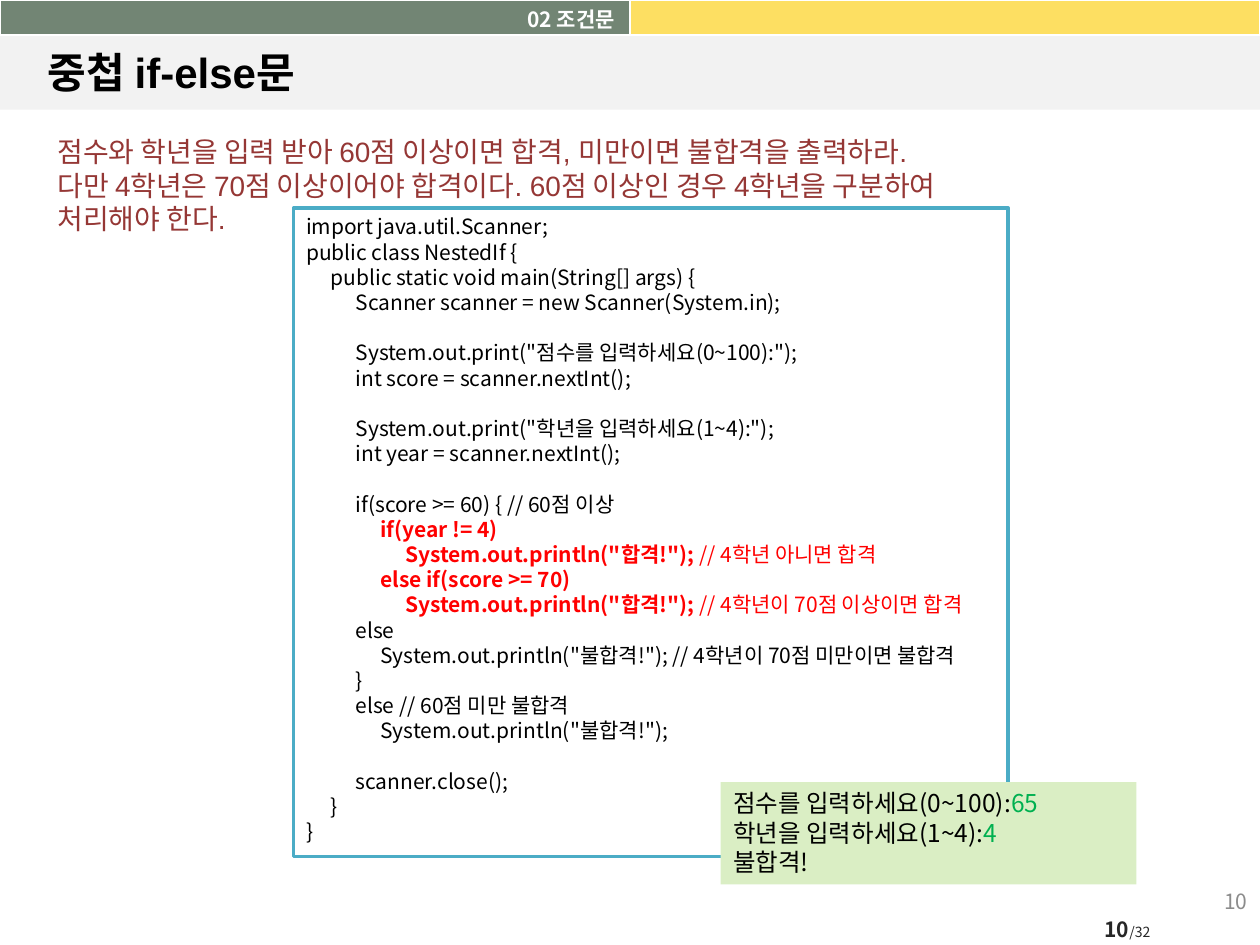
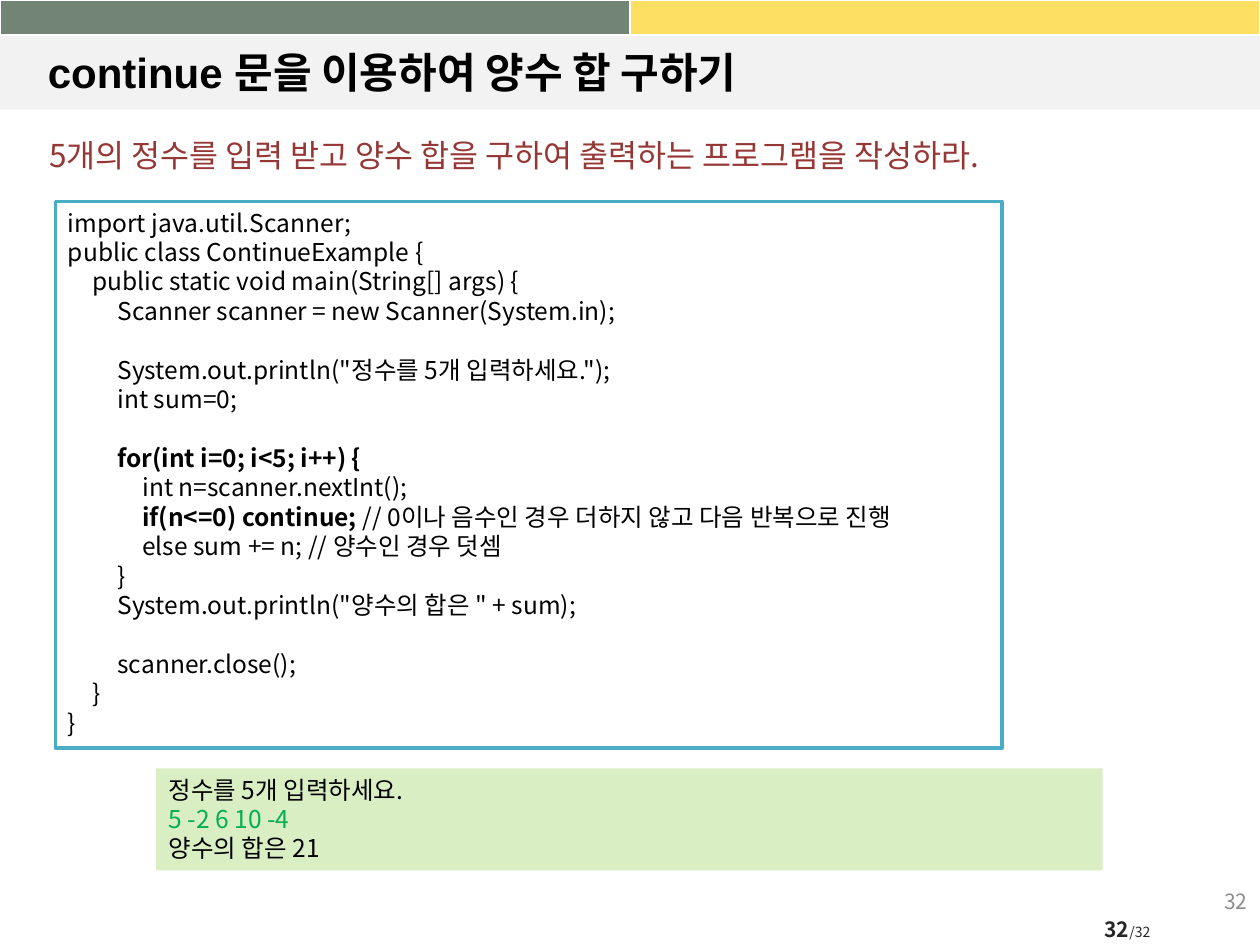
from lxml import etree
from pptx import Presentation
from pptx import util as u
from pptx.dml import color
from pptx.enum import shapes, text
from pptx.oxml import ns

# Shared look
SANS, HEAD = "Noto Sans CJK KR", "Arial"
GREEN_BAND, YELLOW_BAND, TITLE_BAND = "728574", "FDDF62", "F2F2F2"
BLACK, WHITE, PROMPT, CODE_LINE = "000000", "FFFFFF", "953735", "4BACC6"
OUTPUT_FILL, INPUT, HOT = "DAEEC4", "00B050", "FF0000"
INDENT = 0.5
LINE = 1.2
TOTAL = 32
BOLD = {"bold": True}
RED, RED_BOLD = {"colour": HOT}, {"colour": HOT, "bold": True}
TYPED = {"colour": INPUT}


def write(box, lines, size, colour=BLACK, font=SANS, bold=False,
          align=text.PP_ALIGN.LEFT, anchor=text.MSO_ANCHOR.TOP):
    """Fill box with lines: tabs set the indent, an empty line becomes space before
    the next one, and a line may be a list of (words, format) spans."""
    frame = box.text_frame
    frame.word_wrap = True
    frame.auto_size = text.MSO_AUTO_SIZE.NONE
    frame.vertical_anchor = anchor
    para, gap = None, 0
    for line in lines:
        if not line:
            gap += size * LINE
            continue
        spans = [(line, {})] if isinstance(line, str) else line
        para = frame.add_paragraph() if para else frame.paragraphs[0]
        para.alignment = align
        para.line_spacing = u.Pt(size * LINE)
        para.space_before, gap = u.Pt(gap), 0
        first = spans[0][0]
        level = len(first) - len(first.lstrip("\t"))
        layout = para._p.get_or_add_pPr()
        layout.set("marL", str(u.Cm(level * INDENT)))
        layout.set("indent", "0")
        etree.SubElement(layout, ns.qn("a:buNone"))
        for words, style in spans:
            span = para.add_run()
            span.text = words.lstrip("\t")
            span.font.name = font
            span.font.size = u.Pt(style.get("size", size))
            span.font.bold = style.get("bold", bold)
            span.font.color.rgb = color.RGBColor.from_string(style.get("colour", colour))
            etree.SubElement(span.font._element, ns.qn("a:ea"), typeface=SANS)


def add_box(page, place, fill=None, line=None):
    """Add a rectangle, or a text box when it has no fill."""
    place = [u.Cm(length) for length in place]
    if not fill:
        return page.shapes.add_textbox(*place)
    box = page.shapes.add_shape(shapes.MSO_SHAPE.RECTANGLE, *place)
    box.shadow.inherit = False
    box.fill.solid()
    box.fill.fore_color.rgb = color.RGBColor.from_string(fill)
    if line:
        box.line.color.rgb = color.RGBColor.from_string(line)
        box.line.width = u.Pt(2)
    else:
        box.line.fill.background()
    return box


# Content of the slides
nested_if = [
    "import java.util.Scanner;",
    "public class NestedIf {",
    "\tpublic static void main(String[] args) {",
    "\t\tScanner scanner = new Scanner(System.in);",
    "",
    "\t\tSystem.out.print(\"점수를 입력하세요(0~100):\");",
    "\t\tint score = scanner.nextInt();",
    "",
    "\t\tSystem.out.print(\"학년을 입력하세요(1~4):\");",
    "\t\tint year = scanner.nextInt();",
    "",
    "\t\tif(score >= 60) { // 60점 이상",
    [("\t\t\tif(year != 4)", RED_BOLD)],
    [("\t\t\t\tSystem.out.println(\"합격!\"); ", RED_BOLD), ("// 4학년 아니면 합격", RED)],
    [("\t\t\telse if(score >= 70)", RED_BOLD)],
    [("\t\t\t\tSystem.out.println(\"합격!\"); ", RED_BOLD),
     ("// 4학년이 70점 이상이면 합격", RED)],
    "\t\telse",
    "\t\t\tSystem.out.println(\"불합격!\"); // 4학년이 70점 미만이면 불합격",
    "\t\t}",
    "\t\telse // 60점 미만 불합격",
    "\t\t\tSystem.out.println(\"불합격!\");",
    "",
    "\t\tscanner.close();",
    "\t}",
    "}",
]
continue_example = [
    "import java.util.Scanner;",
    "public class ContinueExample {",
    "\tpublic static void main(String[] args) {",
    "\t\tScanner scanner = new Scanner(System.in);",
    "",
    "\t\tSystem.out.println(\"정수를 5개 입력하세요.\");",
    "\t\tint sum=0;",
    "",
    [("\t\tfor(int i=0; i<5; i++) {", BOLD)],
    "\t\t\tint n=scanner.nextInt();",
    [("\t\t\tif(n<=0) continue;", BOLD),
     (" // 0이나 음수인 경우 더하지 않고 다음 반복으로 진행", {})],
    "\t\t\telse sum += n; // 양수인 경우 덧셈",
    "\t\t}",
    "\t\tSystem.out.println(\"양수의 합은 \" + sum);",
    "",
    "\t\tscanner.close();",
    "\t}",
    "}",
]
lessons = [
    {
        "number": 10, "title": "중첩 if-else문", "section": "02 조건문",
        "prompt": ["점수와 학년을 입력 받아 60점 이상이면 합격, 미만이면 불합격을 출력하라.",
                   "다만 4학년은 70점 이상이어야 합격이다. 60점 이상인 경우 4학년을 구분하여",
                   "처리해야 한다."],
        "prompt_at": (0.91, 2.59, 23.62, 2.31), "prompt_size": 16, "prompt_font": HEAD,
        "code": nested_if, "code_at": (5.92, 4.19, 14.4, 13.08), "code_size": 12,
        "output": [[("점수를 입력하세요(0~100):", {}), ("65", TYPED)],
                   [("학년을 입력하세요(1~4):", {}), ("4", TYPED)],
                   "불합격!"],
        "output_at": (14.53, 15.77, 8.38, 2.06),
    },
    {
        "number": 32, "title": "continue 문을 이용하여 양수 합 구하기", "section": None,
        "prompt": ["5개의 정수를 입력 받고 양수 합을 구하여 출력하는 프로그램을 작성하라."],
        "prompt_at": (0.74, 2.62, 21.72, 1.02), "prompt_size": 18, "prompt_font": SANS,
        "code": continue_example, "code_at": (1.12, 4.06, 19.08, 11.02), "code_size": 14,
        "output": ["정수를 5개 입력하세요.", [("5 -2 6 10 -4", TYPED)], "양수의 합은 21"],
        "output_at": (3.15, 15.49, 19.08, 2.06),
    },
]

deck = Presentation()
deck.slide_width, deck.slide_height = u.Cm(25.4), u.Cm(19.05)

for lesson in lessons:
    # Title and Content when there is a section label, else Title Only
    page = deck.slides.add_slide(deck.slide_layouts[1 if lesson["section"] else 5])

    # Bands
    add_box(page, (0, 0.71, 25.4, 1.5), TITLE_BAND)
    band = page.shapes.add_table(1, 2, 0, 0, u.Cm(25.4), u.Cm(0.71)).table
    for cell, fill in zip(band.iter_cells(), (GREEN_BAND, YELLOW_BAND)):
        cell.fill.solid()
        cell.fill.fore_color.rgb = color.RGBColor.from_string(fill)
        cell.margin_top = cell.margin_bottom = 0
        etree.SubElement(cell.text_frame.paragraphs[0]._p, ns.qn("a:endParaRPr"), sz="800")

    # Title and section label, raised above the bands
    headings = [(page.shapes.title, (0.71, 0.74, 24, 1.42))]
    if lesson["section"]:
        headings.append((page.placeholders[1], (0, 0, 12.65, 0.71)))
        write(page.placeholders[1], [lesson["section"]], 12, WHITE, bold=True,
              align=text.PP_ALIGN.RIGHT)
    write(page.shapes.title, [lesson["title"]], 24, font=HEAD, bold=True,
          anchor=text.MSO_ANCHOR.MIDDLE)
    for heading, place in headings:
        heading.left, heading.top, heading.width, heading.height = map(u.Cm, place)
        tree = heading.element.getparent()
        tree.append(heading.element)

    # Page numbers
    number = str(lesson["number"])
    write(add_box(page, (21.51, 18.41, 2.44, 0.66)),
          [[(number, BOLD), (f"/{TOTAL}", {"size": 8})]], 12, "262626",
          align=text.PP_ALIGN.CENTER, anchor=text.MSO_ANCHOR.MIDDLE)
    write(add_box(page, (19.48, 17.65, 5.92, 1.02)), [number], 12, "8C8C8C",
          align=text.PP_ALIGN.RIGHT, anchor=text.MSO_ANCHOR.MIDDLE)

    # Task, program and its output
    write(add_box(page, lesson["prompt_at"]), lesson["prompt"], lesson["prompt_size"],
          PROMPT, lesson["prompt_font"])
    write(add_box(page, lesson["code_at"], WHITE, CODE_LINE), lesson["code"],
          lesson["code_size"])
    write(add_box(page, lesson["output_at"], OUTPUT_FILL), lesson["output"], 14)

deck.save("out.pptx")
